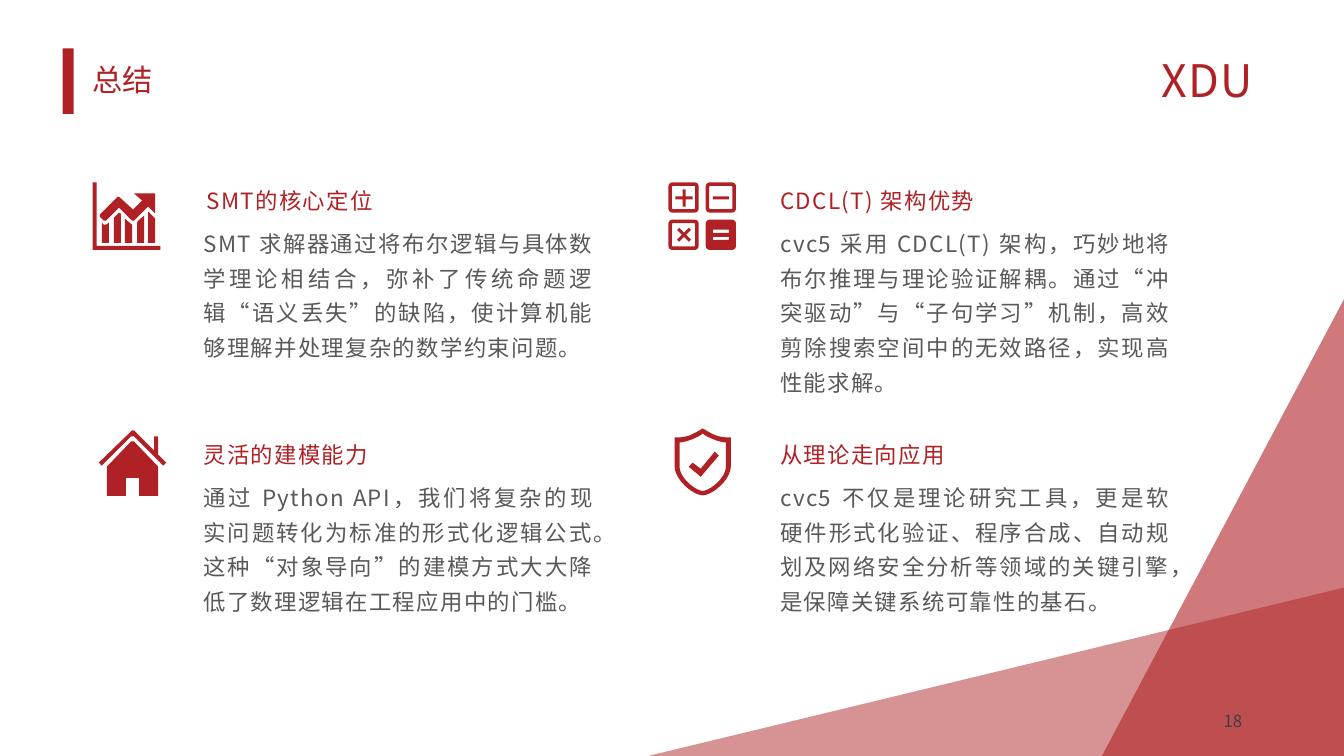
from lxml import etree
from pptx import Presentation
from pptx.dml.color import RGBColor
from pptx.enum.shapes import MSO_SHAPE as SHAPE
from pptx.enum.text import MSO_ANCHOR as ANCHOR, MSO_AUTO_SIZE as AUTO, PP_ALIGN as ALIGN
from pptx.oxml.ns import qn
from pptx.util import Inches, Pt
from math import cos, pi, sin

W, H = 13.33, 7.5
FONT = "Noto Sans CJK SC"
RED, GREY, DARK = "AF2125", "595959", "404040"
COLS, ROWS = (1.92, 7.64), (1.73, 4.25)  # text grid: left edges and tops
BODY_W, HEAD_H = 4.07, 0.42

# heading, heading width, body, body height; row by row
TOPICS = [
    ("SMT的核心定位", 1.91,
     "SMT 求解器通过将布尔逻辑与具体数学理论相结合，弥补了传统命题逻辑“语义丢失”的缺陷，"
     "使计算机能够理解并处理复杂的数学约束问题。", 1.47),
    ("CDCL(T) 架构优势", 2.2,
     "cvc5 采用 CDCL(T) 架构，巧妙地将布尔推理与理论验证解耦。通过“冲突驱动”与“子句学习”机制，"
     "高效剪除搜索空间中的无效路径，实现高性能求解。", 1.82),
    ("灵活的建模能力", 1.87,
     "通过 Python API，我们将复杂的现实问题转化为标准的形式化逻辑公式。"
     "这种“对象导向”的建模方式大大降低了数理逻辑在工程应用中的门槛。", 1.82),
    ("从理论走向应用", 1.87,
     "cvc5 不仅是理论研究工具，更是软硬件形式化验证、程序合成、自动规划及网络安全分析等领域的关键引擎，"
     "是保障关键系统可靠性的基石。", 1.47),
]


def paint(sp, color, alpha=None):
    sp.shadow.inherit = False
    sp.line.fill.background()
    sp.fill.solid()
    sp.fill.fore_color.rgb = RGBColor.from_string(color)
    if alpha is not None:
        clr = sp.fill._xPr.find(qn("a:solidFill"))[0]
        etree.SubElement(clr, qn("a:alpha")).set("val", str(alpha * 1000))


def add_text(slide, text, x, y, w, h, size=16, color=RED, align=None,
             line=1.3, spacing=0, wrap=True, grow=True, anchor=ANCHOR.TOP):
    sp = slide.shapes.add_textbox(*map(Inches, (x, y, w, h)))
    tf = sp.text_frame
    tf.word_wrap = wrap
    tf.auto_size = AUTO.SHAPE_TO_FIT_TEXT if grow else AUTO.NONE
    tf.vertical_anchor = anchor
    p = tf.paragraphs[0]
    p.alignment, p.line_spacing = align, line
    r = p.add_run()
    r.text = text
    r.font.size, r.font.name = Pt(size), FONT
    r.font.color.rgb = RGBColor.from_string(color)
    rPr = r.font._element
    rPr.set("lang", "zh-CN")
    rPr.set("spc", str(spacing * 100))
    etree.SubElement(rPr, qn("a:ea")).set("typeface", FONT)


def add_corner(slide, w, h, alpha):
    """Right triangle sitting in the lower right corner of the slide."""
    sp = slide.shapes.add_shape(SHAPE.RIGHT_TRIANGLE, *map(Inches, (W - w, H - h, w, h)))
    paint(sp, RED, alpha)
    sp._element.spPr.find(qn("a:xfrm")).set("flipH", "1")


def add_icon(slide, x, y, contours):
    """One shape from closed contours, given in hundredths of an inch."""
    paths = [[(Inches(a / 100), Inches(b / 100)) for a, b in c] for c in contours]
    fb = slide.shapes.build_freeform(*paths[0][0])
    for i, path in enumerate(paths):
        if i:
            fb.move_to(*path[0])
        fb.add_line_segments(path[1:], close=True)
    paint(fb.convert_to_shape(Inches(x), Inches(y)), RED)


# Contour helpers
def box(x, y, w, h):
    return [(x, y), (x + w, y), (x + w, y + h), (x, y + h)]


def rounded(x, y, size, radius):
    pts = []
    for k, (sx, sy) in enumerate([(1, 1), (0, 1), (0, 0), (1, 0)]):
        cx = x + radius + sx * (size - 2 * radius)
        cy = y + radius + sy * (size - 2 * radius)
        for step in range(5):
            t = (k + step / 4) * pi / 2
            pts.append((cx + radius * cos(t), cy + radius * sin(t)))
    return pts


def curve(a, b, c, d, steps=10):
    ts = [i / steps for i in range(steps + 1)]
    return [tuple((1 - t) ** 3 * p + 3 * t * (1 - t) ** 2 * q + 3 * t * t * (1 - t) * r + t ** 3 * s
                  for p, q, r, s in zip(a, b, c, d)) for t in ts]


def mirrored(half, axis):
    return half + [(2 * axis - x, y) for x, y in reversed(half)]


# Icons
def chart_icon():
    axes = [(4, 63), (4, 0), (0, 0), (0, 67), (67, 67), (67, 63)]
    arrow = [(62, 11), (41, 11), (49, 18), (40, 27), (27, 15), (25, 14), (7, 32), (7, 34), (11, 38),
             (13, 38), (26, 25), (39, 38), (41, 38), (55, 24), (62, 31)]
    tops = [[(9, 40), (11, 42), (13, 42), (16, 40)], [(21, 35), (26, 30), (28, 31)],
            [(32, 36), (39, 42)], [(44, 40), (45, 38), (51, 33)], [(55, 29), (62, 36)]]
    bars = [top + [(top[-1][0], 60), (top[0][0], 60)] for top in tops]
    return [axes, arrow] + bars


def calculator_icon():
    tiles = [rounded(x, y, 30, 4) for x in (0, 37) for y in (0, 37)]
    holes = [rounded(x + 3.5, y + 3.5, 23, 1) for x, y in ((0, 0), (0, 37), (37, 0))]
    plus = [(14, 14), (14, 7), (17, 7), (17, 14), (24, 14), (24, 17),
            (17, 17), (17, 24), (14, 24), (14, 17), (7, 17), (7, 14)]
    cx, cy, turn = 15.5, 52, 0.69
    times = [(cx + (x - y) * turn, cy + (x + y) * turn)
             for x, y in ((a - 15.5, b - 15.5) for a, b in plus)]
    strokes = [box(44, y, 16, 3) for y in (14, 47, 54)]
    return tiles + holes + [plus, times] + strokes


def house_icon():
    body = [(32, 11), (8, 36), (8, 65), (27, 65), (27, 47), (40, 47), (40, 65), (59, 65), (59, 36), (35, 11)]
    roof = [(59, 24), (59, 6), (55, 6), (55, 20), (35, 0), (33, 0), (0, 32), (3, 35),
            (32, 6), (35, 6), (64, 35), (67, 32)]
    return [body, roof]


def shield_icon():
    outer = (curve((28, 66.5), (18, 66), (0, 51), (0, 37)) + [(0, 9)]
             + curve((3, 9), (3, 9), (9, 9), (15, 7)) + curve((15, 7), (22, 4), (26, 1), (28, 0)))
    inner = (curve((28, 62), (21, 62), (5, 49), (5, 38))
             + curve((5, 14), (7, 14), (12, 13), (17, 11)) + curve((17, 11), (22, 9), (26, 7), (28, 5)))
    check = [(26, 48), (14, 38), (18, 34), (26, 40), (40, 23), (44, 27)]
    return [mirrored(outer, 28), mirrored(inner, 28), check]


def main():
    prs = Presentation()
    prs.slide_width, prs.slide_height = Inches(W), Inches(H)
    slide = prs.slides.add_slide(prs.slide_layouts[6])

    # Header and corner decoration
    marker = slide.shapes.add_shape(SHAPE.RECTANGLE, *map(Inches, (0.62, 0.48, 0.11, 0.65)))
    paint(marker, RED)
    add_text(slide, "XDU", 11.42, 0.31, 1.21, 0.74, size=32, align=ALIGN.JUSTIFY, spacing=1, wrap=False)
    add_corner(slide, 6.9, 1.67, 49)
    add_corner(slide, 2.4, 4.53, 60)
    add_text(slide, "18", 9.42, 6.95, 3, 0.4, size=12, color=DARK, align=ALIGN.RIGHT,
             line=1, grow=False, anchor=ANCHOR.MIDDLE)

    # Icons beside the topics
    add_icon(slide, 0.92, 1.81, chart_icon())
    add_icon(slide, 6.63, 1.81, calculator_icon())
    add_icon(slide, 0.98, 4.27, house_icon())
    add_icon(slide, 6.69, 4.25, shield_icon())

    # Topics on a two by two grid
    for i, (heading, head_w, body, body_h) in enumerate(TOPICS):
        x, y = COLS[i % 2], ROWS[i // 2]
        indent = 0.03 if i == 0 else 0
        add_text(slide, heading, x + indent, y, head_w, HEAD_H, spacing=1, wrap=False)
        add_text(slide, body, x, y + HEAD_H, BODY_W, body_h, color=GREY, align=ALIGN.JUSTIFY, spacing=1)

    # Slide title
    add_text(slide, "总结", 0.82, 0.62, 11.5, 0.4, size=21.6, line=0.8, grow=False, anchor=ANCHOR.MIDDLE)
    prs.save("out.pptx")


if __name__ == "__main__":
    main()
